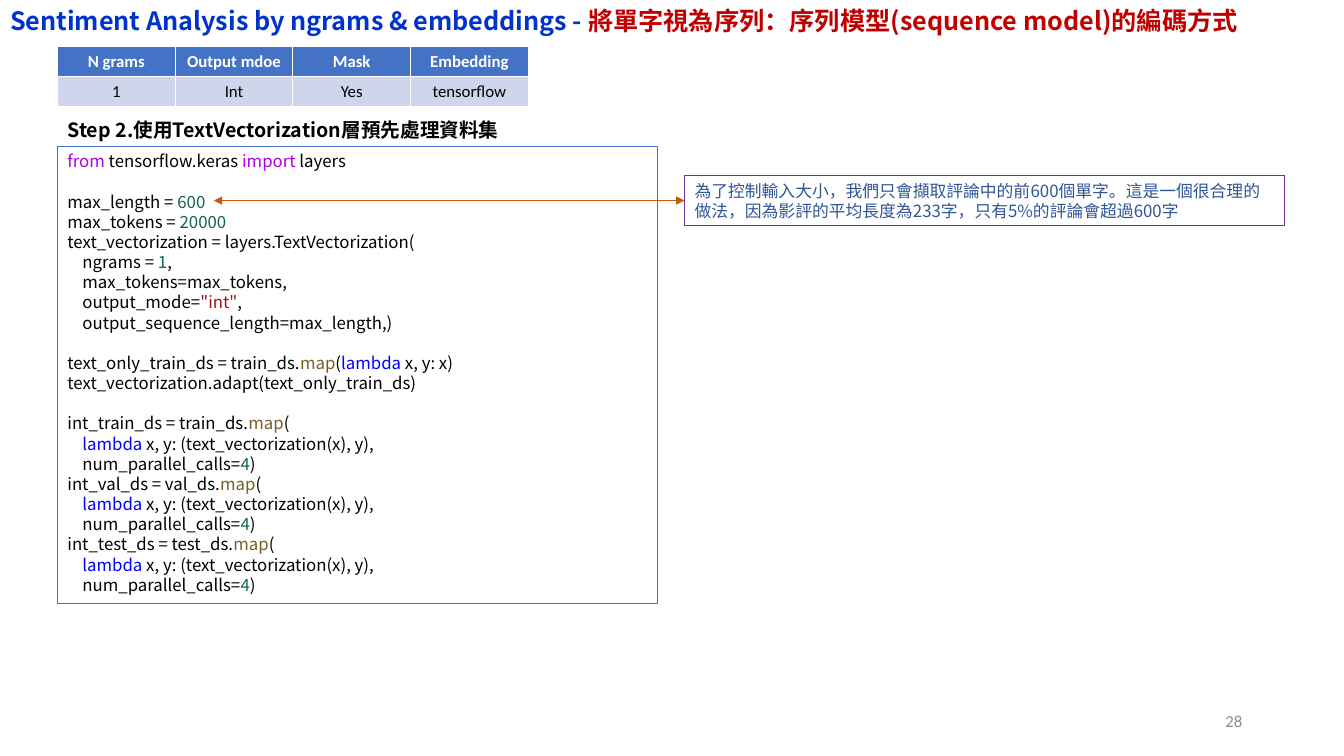
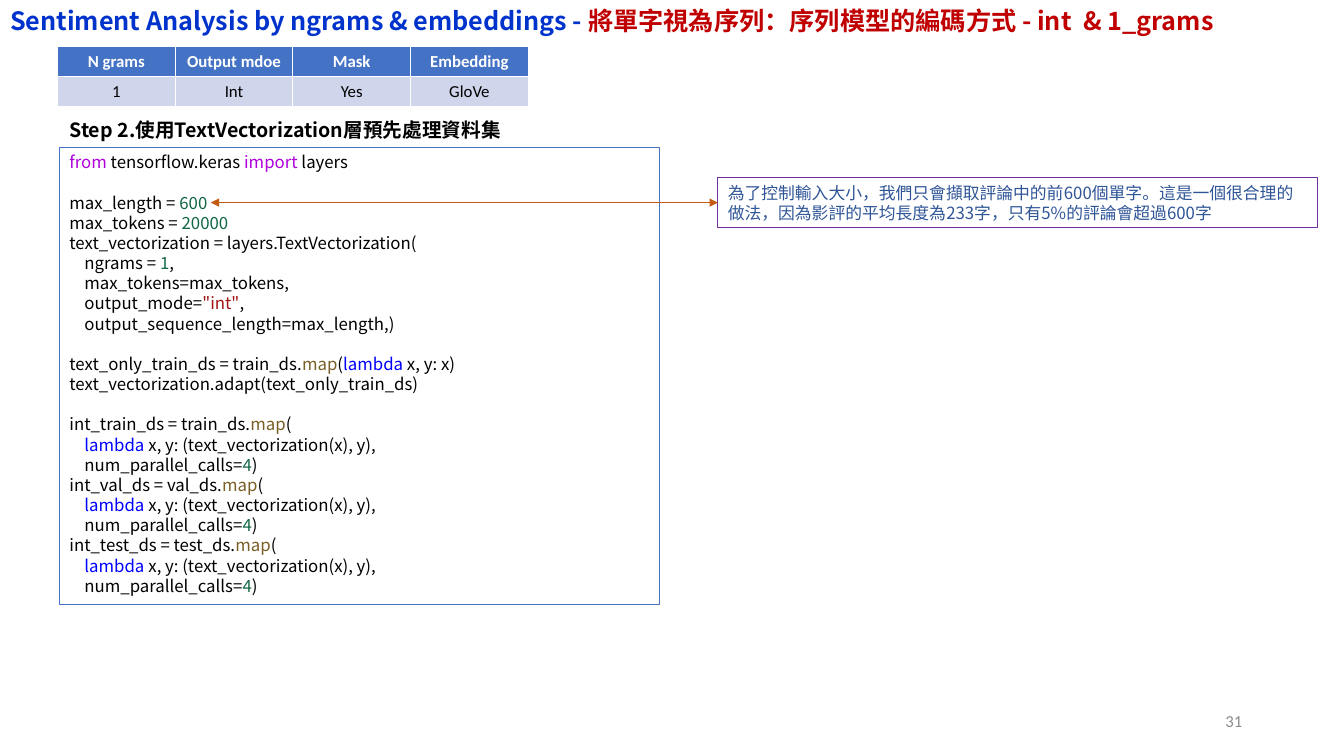
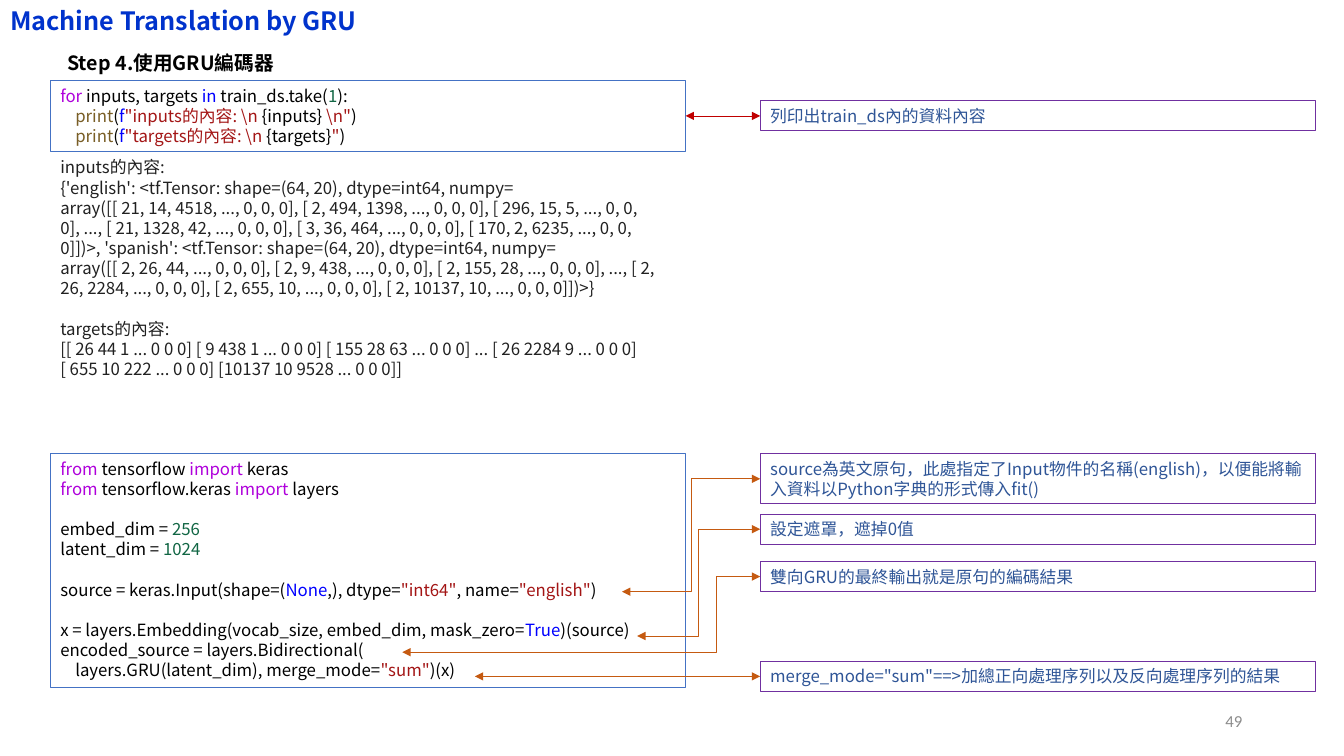
"""Build three slides on text vectorization and a GRU encoder."""
from lxml import etree
from pptx import Presentation
from pptx.dml.color import RGBColor
from pptx.enum import shapes, text
from pptx.oxml import ns
from pptx.util import Inches, Pt

FONT = "Noto Sans CJK SC"
TABLE_FONT = "Calibri"
BLACK = RGBColor(0x00, 0x00, 0x00)
WHITE = RGBColor(0xFF, 0xFF, 0xFF)
GRAY = RGBColor(0x8C, 0x8C, 0x8C)
OUTPUT = RGBColor(0x21, 0x21, 0x21)
TITLE = RGBColor(0x00, 0x33, 0xCC)
RED = RGBColor(0xC0, 0x00, 0x00)
ORANGE = RGBColor(0xC5, 0x5A, 0x11)
BLUE = RGBColor(0x44, 0x72, 0xC4)
BAND = RGBColor(0xCF, 0xD5, 0xEA)
PURPLE = RGBColor(0x70, 0x30, 0xA0)
NOTE = RGBColor(0x2F, 0x55, 0x97)
KEYWORD = RGBColor(0xAF, 0x00, 0xDB)
NUMBER = RGBColor(0x11, 0x66, 0x44)
STRING = RGBColor(0xA3, 0x15, 0x15)
FUNC = RGBColor(0x79, 0x5E, 0x26)
CONST = RGBColor(0x00, 0x00, 0xFF)
LINE_HEIGHT = 1.2


def write(tf, blocks, size, color, bold=False):
    """Fill a frame with blocks of lines, one blank line's height apart."""
    tf.word_wrap = True
    tf.auto_size = text.MSO_AUTO_SIZE.NONE
    tf.vertical_anchor = text.MSO_ANCHOR.TOP
    p = None
    for block in blocks:
        for i, line in enumerate(block):
            gap = p is not None and i == 0
            p = tf.paragraphs[0] if p is None else tf.add_paragraph()
            p.alignment = text.PP_ALIGN.LEFT
            p.line_spacing = Pt(size * LINE_HEIGHT)
            p.space_before = Pt(size * LINE_HEIGHT if gap else 0)
            for part in line:
                words, run_color = (part, color) if isinstance(part, str) else part
                r = p.add_run()
                r.text = words
                r.font.name = FONT
                r.font.size = Pt(size)
                r.font.bold = bold
                r.font.color.rgb = run_color
                ea = etree.SubElement(r.font._element, ns.qn("a:ea"))
                ea.set("typeface", FONT)


def panel(s, at, blocks, color, outline=None, size=12, bold=False):
    """Add a text panel, outlined when a line colour is given."""
    at = [Inches(v) for v in at]
    if outline is None:
        sp = s.shapes.add_textbox(*at)
    else:
        sp = s.shapes.add_shape(shapes.MSO_SHAPE.RECTANGLE, *at)
        sp.shadow.inherit = False
        sp.fill.background()
        sp.line.color.rgb = outline
        sp.line.width = Pt(0.75)
    write(sp.text_frame, blocks, size, color, bold)
    return sp


vectorize_code = [
    [[("from", KEYWORD), " tensorflow.keras ", ("import", KEYWORD), " layers"]],
    [
        ["max_length = ", ("600", NUMBER)],
        ["max_tokens = ", ("20000", NUMBER)],
        ["text_vectorization = layers.TextVectorization("],
        ["    ngrams = ", ("1", NUMBER), ","],
        ["    max_tokens=max_tokens,"],
        ["    output_mode=", ('"int"', STRING), ","],
        ["    output_sequence_length=max_length,)"],
    ],
    [
        ["text_only_train_ds = train_ds.", ("map", FUNC), "(", ("lambda", CONST), " x, y: x)"],
        ["text_vectorization.adapt(text_only_train_ds)"],
    ],
    [
        line
        for name in ("train", "val", "test")
        for line in (
            [f"int_{name}_ds = {name}_ds.", ("map", FUNC), "("],
            ["    ", ("lambda", CONST), " x, y: (text_vectorization(x), y),"],
            ["    num_parallel_calls=", ("4", NUMBER), ")"],
        )
    ],
]
print_code = [
    [
        [("for", KEYWORD), " inputs, targets ", ("in", CONST), " train_ds.take(", ("1", NUMBER), "):"],
        ["    ", ("print", FUNC), "(", ("f", CONST), (r'"inputs的內容: \n ', STRING),
         "{inputs}", (r' \n"', STRING), ")"],
        ["    ", ("print", FUNC), "(", ("f", CONST), (r'"targets的內容: \n ', STRING),
         "{targets}", ('"', STRING), ")"],
    ]
]
printed = [
    [
        ["inputs的內容:"],
        ["{'english': <tf.Tensor: shape=(64, 20), dtype=int64, numpy="],
        ["array([[ 21, 14, 4518, ..., 0, 0, 0], [ 2, 494, 1398, ..., 0, 0, 0], "
         "[ 296, 15, 5, ..., 0, 0, 0], ..., [ 21, 1328, 42, ..., 0, 0, 0], "
         "[ 3, 36, 464, ..., 0, 0, 0], [ 170, 2, 6235, ..., 0, 0, 0]])>, "
         "'spanish': <tf.Tensor: shape=(64, 20), dtype=int64, numpy="],
        ["array([[ 2, 26, 44, ..., 0, 0, 0], [ 2, 9, 438, ..., 0, 0, 0], "
         "[ 2, 155, 28, ..., 0, 0, 0], ..., [ 2, 26, 2284, ..., 0, 0, 0], "
         "[ 2, 655, 10, ..., 0, 0, 0], [ 2, 10137, 10, ..., 0, 0, 0]])>}"],
    ],
    [
        ["targets的內容:"],
        ["[[ 26 44 1 ... 0 0 0] [ 9 438 1 ... 0 0 0] [ 155 28 63 ... 0 0 0] ... "
         "[ 26 2284 9 ... 0 0 0] [ 655 10 222 ... 0 0 0] [10137 10 9528 ... 0 0 0]]"],
    ],
]
encoder_code = [
    [
        [("from", KEYWORD), " tensorflow ", ("import", KEYWORD), " keras"],
        [("from", KEYWORD), " tensorflow.keras ", ("import", KEYWORD), " layers"],
    ],
    [
        ["embed_dim = ", ("256", NUMBER)],
        ["latent_dim = ", ("1024", NUMBER)],
    ],
    [
        ["source = keras.Input(shape=(", ("None", CONST), ",), dtype=", ('"int64"', STRING),
         ", name=", ('"english"', STRING), ")"],
    ],
    [
        ["x = layers.Embedding(vocab_size, embed_dim, mask_zero=", ("True", CONST), ")(source)"],
        ["encoded_source = layers.Bidirectional("],
        ["    layers.GRU(latent_dim), merge_mode=", ('"sum"', STRING), ")(x)"],
    ],
]

ngrams_title = "Sentiment Analysis by ngrams & embeddings - "
vectorize_step = "Step 2.使用TextVectorization層預先處理資料集"
length_note = ("為了控制輸入大小，我們只會擷取評論中的前600個單字。這是一個很合理的做法，"
               "因為影評的平均長度為233字，只有5%的評論會超過600字")

pages = [
    {
        "number": 28,
        "title": [ngrams_title, ("將單字視為序列：序列模型(sequence model)的編碼方式", RED)],
        "title_width": 12.99,
        "embedding": "tensorflow",
        "step": ((0.57, 1.12, 5.95, 0.34), vectorize_step),
        "codes": [((0.57, 1.45, 5.95, 4.54), vectorize_code)],
        "notes": [((6.79, 1.74, 5.95, 0.5), length_note, (2.12, 1.99), None)],
    },
    {
        "number": 31,
        "title": [ngrams_title, ("將單字視為序列：序列模型的編碼方式 - int  & 1_grams", RED)],
        "title_width": 12.99,
        "embedding": "GloVe",
        "step": ((0.59, 1.12, 5.95, 0.34), vectorize_step),
        "codes": [((0.59, 1.46, 5.95, 4.54), vectorize_code)],
        "notes": [((7.12, 1.76, 5.95, 0.5), length_note, (2.09, 2.01), None)],
    },
    {
        "number": 49,
        "title": ["Machine Translation by GRU"],
        "title_width": 7.11,
        "embedding": None,
        "step": ((0.57, 0.46, 6.23, 0.34), "Step 4.使用GRU編碼器"),
        "codes": [((0.5, 0.8, 6.3, 0.7), print_code), ((0.5, 4.5, 6.3, 2.32), encoder_code)],
        "notes": [
            ((7.54, 1, 5.51, 0.3), "列印出train_ds內的資料內容", None, None),
            ((7.54, 4.5, 5.51, 0.5),
             "source為英文原句，此處指定了Input物件的名稱(english)，"
             "以便能將輸入資料以Python字典的形式傳入fit()", (6.17, 5.87), 50000),
            ((7.54, 5.1, 5.51, 0.3), "設定遮罩，遮掉0值", (6.32, 6.31), 50000),
            ((7.54, 5.57, 5.51, 0.3), "雙向GRU的最終輸出就是原句的編碼結果", (3.99, 6.47), 12200),
            ((7.54, 6.56, 5.51, 0.3),
             'merge_mode="sum"==>加總正向處理序列以及反向處理序列的結果', (4.71, 6.71), None),
        ],
    },
]

prs = Presentation()
prs.slide_width = Inches(13.33)
prs.slide_height = Inches(7.5)

for page in pages:
    s = prs.slides.add_slide(prs.slide_layouts[5])
    title = s.shapes.title
    title.left, title.top = Inches(0), Inches(0)
    title.width, title.height = Inches(page["title_width"]), Inches(0.4)
    write(title.text_frame, [[page["title"]]], 18, TITLE, True)

    sp = s.shapes.add_textbox(Inches(9.42), Inches(6.95), Inches(3), Inches(0.4))
    tf = sp.text_frame
    tf.word_wrap = True
    tf.vertical_anchor = text.MSO_ANCHOR.MIDDLE
    p = tf.paragraphs[0]
    p.alignment = text.PP_ALIGN.RIGHT
    r = p.add_run()
    r.text = str(page["number"])
    r.font.name, r.font.size = TABLE_FONT, Pt(12)
    r.font.color.rgb = GRAY

    at, step = page["step"]
    panel(s, at, [[[step]]], BLACK, size=14, bold=True)
    codes = [panel(s, at, blocks, BLACK, BLUE) for at, blocks in page["codes"]]

    if page["embedding"]:
        rows = [("N grams", "Output mdoe", "Mask", "Embedding"),
                ("1", "Int", "Yes", page["embedding"])]
        frame = s.shapes.add_table(2, 4, Inches(0.57), Inches(0.46), Inches(4.67), Inches(0.6))
        for i, row in enumerate(rows):
            for j, label in enumerate(row):
                cell = frame.table.cell(i, j)
                cell.fill.solid()
                cell.fill.fore_color.rgb = BAND if i else BLUE
                p = cell.text_frame.paragraphs[0]
                p.alignment = text.PP_ALIGN.CENTER
                r = p.add_run()
                r.text = label
                r.font.name, r.font.size = TABLE_FONT, Pt(12)
                r.font.bold = i == 0
                r.font.color.rgb = BLACK if i else WHITE
    else:
        panel(s, (0.5, 1.51, 6.3, 2.73), printed, OUTPUT)

    for at, words, target, bend in page["notes"]:
        note = panel(s, at, [[[words]]], NOTE, PURPLE)
        left, middle = Inches(at[0]), Inches(at[1] + at[3] / 2)
        x, y = [Inches(v) for v in target] if target else (left, middle)
        kind = shapes.MSO_CONNECTOR.ELBOW if bend else shapes.MSO_CONNECTOR.STRAIGHT
        arrow = s.shapes.add_connector(kind, left, middle, x, y)
        arrow.line.color.rgb = ORANGE if target else RED
        arrow.line.width = Pt(0.5)
        ln = arrow.line._get_or_add_ln()
        for end in ("a:headEnd", "a:tailEnd"):
            etree.SubElement(ln, ns.qn(end)).set("type", "triangle")
        sp_pr = arrow._element.spPr
        etree.SubElement(sp_pr, ns.qn("a:effectLst"))
        if bend:
            guide = etree.SubElement(sp_pr.find(ns.qn("a:prstGeom")).find(ns.qn("a:avLst")), ns.qn("a:gd"))
            guide.set("name", "adj1")
            guide.set("fmla", f"val {bend}")
        else:
            arrow.begin_connect(note, 1)
        if target is None:
            arrow.end_connect(codes[0], 3)

prs.save("out.pptx")
